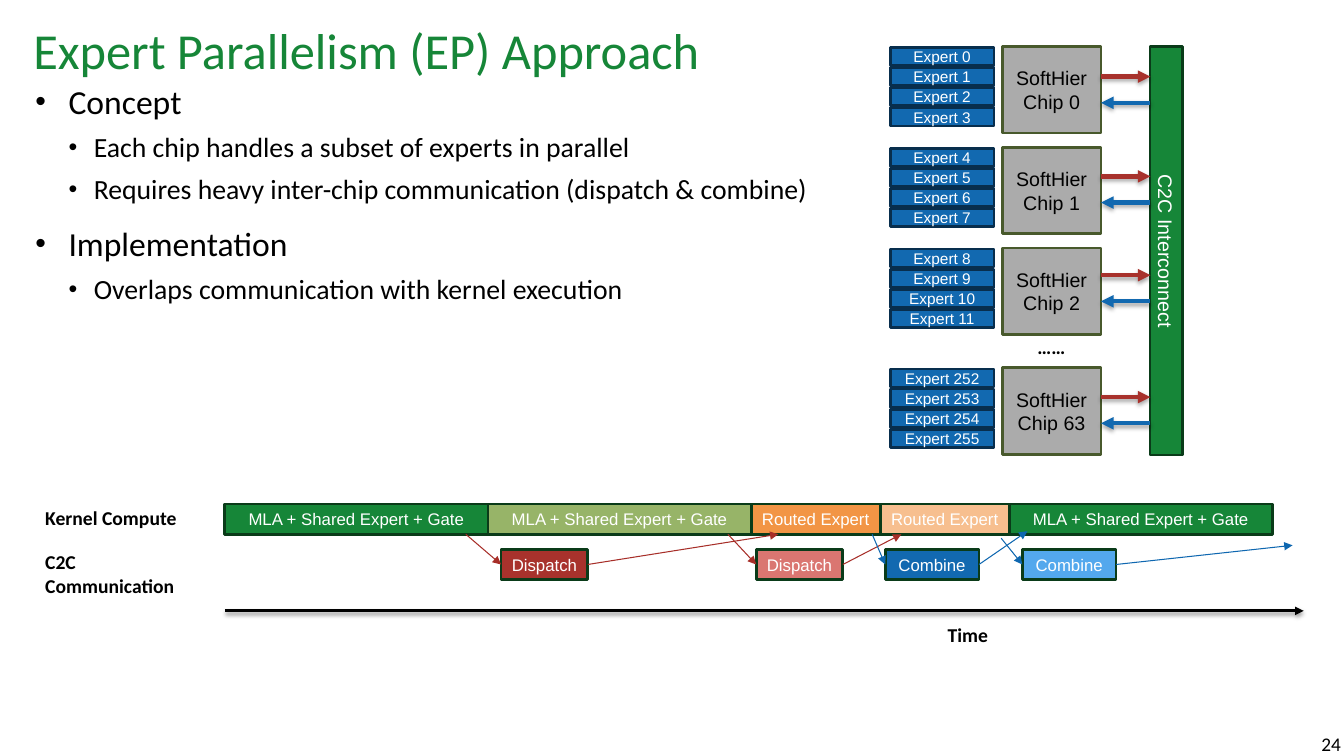
"""Build the slide on expert parallelism with its chip diagram and timeline."""
from lxml import etree
from pptx import Presentation
from pptx.dml.color import RGBColor
from pptx.enum import shapes, text
from pptx.oxml import ns
from pptx.util import Inches, Pt

TITLE = "Expert Parallelism (EP) Approach"
BULLETS = [
    (0, "Concept"),
    (1, "Each chip handles a subset of experts in parallel"),
    (1, "Requires heavy inter-chip communication (dispatch & combine)"),
    (0, "Implementation"),
    (1, "Overlaps communication with kernel execution"),
]
LEVELS = [
    {"size": 24, "before": 12.7, "margin": 0.33, "hang": 0.33},
    {"size": 19.8, "before": 6.3, "margin": 0.58, "hang": 0.25},
]
CHIPS = [(0, 0.46, 0.76), (1, 1.46, 1.75), (2, 2.46, 2.73), (63, 3.65, 3.94)]
EXPERTS_PER_CHIP = 4
KERNELS = [
    ("MLA + Shared Expert + Gate", 2.61, "168638"),
    ("MLA + Shared Expert + Gate", 2.61, "97B468"),
    ("Routed Expert", 1.28, "F29545"),
    ("Routed Expert", 1.28, "F7BF8F"),
    ("MLA + Shared Expert + Gate", 2.61, "168638"),
]
RED, BLUE = "A72E28", "0E67B0"
MESSAGES = [
    ("Dispatch", 4.97, 0.86, "A8322C", RED, (4.62, 5.3), (7.72, 5.3)),
    ("Dispatch", 7.5, 0.86, "DA7671", RED, (7.22, 5.3), (8.94, 5.3)),
    ("Combine", 8.78, 0.93, "1269B0", BLUE, (8.65, 5.3), (10.19, 5.27)),
    ("Combine", 10.14, 0.93, "53A8ED", BLUE, (9.93, 5.34), (12.82, 5.41)),
]
LABELS = [
    ("……", 10.19, 3.27, 0.88),
    ("Time", 9.3, 6.13, 0.64),
    ("C2C Communication", 0.35, 5.41, 1.8),
    ("Kernel Compute", 0.35, 4.97, 1.8),
]
TIMELINE_LEFT, KERNEL_TOP, MESSAGE_TOP, BAR_HEIGHT = 2.23, 5, 5.45, 0.3
CHIP_LEFT, CHIP_WIDTH, CHIP_HEIGHT = 9.94, 0.98, 0.86
LINK_LEFT, LINK_RIGHT, LINK_GAP = 10.92, 11.41, 0.26
ARIAL_WHITE = {"name": "Arial", "color": "FFFFFF"}
CALIBRI = {"name": "Calibri", "color": "000000"}
MIDDLE = text.MSO_ANCHOR.MIDDLE
CENTER, LEFT, RIGHT = text.PP_ALIGN.CENTER, text.PP_ALIGN.LEFT, text.PP_ALIGN.RIGHT


def color(value):
    return RGBColor.from_string(value)


def write(para, words, style):
    span = para.add_run()
    span.text = words
    for key, value in style.items():
        if key == "color":
            span.font.color.rgb = color(value)
        else:
            setattr(span.font, key, Pt(value) if key == "size" else value)


def set_frame(frame, **settings):
    for key, value in settings.items():
        setattr(frame, key, value)


def place(shape, left, top, width, height):
    for key, value in zip(("left", "top", "width", "height"), (left, top, width, height)):
        setattr(shape, key, Inches(value))


def add_block(page, lines, area, fill, line, style):
    box = page.shapes.add_shape(shapes.MSO_SHAPE.RECTANGLE, *map(Inches, area))
    box.shadow.inherit = False
    box.fill.solid()
    box.fill.fore_color.rgb = color(fill)
    box.line.color.rgb = color(line)
    box.line.width = Pt(2)
    set_frame(box.text_frame, vertical_anchor=MIDDLE, word_wrap=True)
    for index, words in enumerate(lines):
        para = box.text_frame.add_paragraph() if index else box.text_frame.paragraphs[0]
        para.alignment = CENTER
        write(para, words, style)
    return box


def add_label(page, words, area, style, align=LEFT, **settings):
    box = page.shapes.add_textbox(*map(Inches, area))
    set_frame(box.text_frame, word_wrap=True, **settings)
    para = box.text_frame.paragraphs[0]
    para.alignment = align
    write(para, words, style)


def add_arrow(page, start, end, stroke, width, shadow_alpha=None):
    arrow = page.shapes.add_connector(
        shapes.MSO_CONNECTOR.STRAIGHT, *map(Inches, (*start, *end)))
    arrow.line.color.rgb = color(stroke)
    arrow.line.width = Pt(width)
    etree.SubElement(arrow.line._get_or_add_ln(), ns.qn("a:tailEnd"), type="triangle")
    effects = etree.SubElement(arrow._element.spPr, ns.qn("a:effectLst"))
    if shadow_alpha:
        shadow = etree.SubElement(
            effects, ns.qn("a:outerShdw"), blurRad=str(Pt(3.1)), dist=str(Pt(1.8)),
            dir="5400000", rotWithShape="0")
        shade = etree.SubElement(shadow, ns.qn("a:srgbClr"), val="000000")
        etree.SubElement(shade, ns.qn("a:alpha"), val=str(shadow_alpha * 1000))
    return arrow


def add_texts(page):
    title, body = page.shapes.title, page.placeholders[1]
    place(title, 0.33, 0.19, 12.73, 0.68)
    set_frame(title.text_frame, vertical_anchor=MIDDLE, auto_size=text.MSO_AUTO_SIZE.NONE,
              margin_left=0, margin_right=0, margin_top=0, margin_bottom=0)
    heading = title.text_frame.paragraphs[0]
    heading.alignment, heading.line_spacing = LEFT, 0.9
    write(heading, TITLE, {"name": "Calibri", "size": 36, "color": "168638"})

    place(body, 0.35, 0.75, 9.67, 2.45)
    set_frame(body.text_frame, auto_size=text.MSO_AUTO_SIZE.NONE, margin_left=0,
              margin_right=0, vertical_anchor=text.MSO_ANCHOR.TOP)
    for index, (level, words) in enumerate(BULLETS):
        para = body.text_frame.add_paragraph() if index else body.text_frame.paragraphs[0]
        layout = LEVELS[level]
        props = para._p.get_or_add_pPr()
        props.set("marL", str(Inches(layout["margin"])))
        props.set("indent", str(-Inches(layout["hang"])))
        etree.SubElement(props, ns.qn("a:buSzPct"), val="90000")
        etree.SubElement(props, ns.qn("a:buFont"), typeface="Arial")
        etree.SubElement(props, ns.qn("a:buChar"), char="•")
        para.level = level
        para.space_before = Pt(layout["before"] if index else 0)
        write(para, words, {**CALIBRI, "size": layout["size"]})

    add_label(page, "24", (12.47, 7.2, 0.86, 0.34), {**CALIBRI, "size": 13.8}, RIGHT,
              margin_right=Inches(0.03), vertical_anchor=text.MSO_ANCHOR.BOTTOM)
    for words, left, top, width in LABELS:
        add_label(page, words, (left, top, width, 0.34), {**CALIBRI, "size": 14, "bold": True})


def add_chips(page):
    interconnect = add_block(page, ["C2C Interconnect"], (9.54, 2.33, 4.05, 0.32),
                             "168638", "0A3B19", {**ARIAL_WHITE, "size": 14})
    interconnect.rotation = 90
    for number, top, link in CHIPS:
        add_block(page, ["SoftHier", f"Chip {number}"],
                  (CHIP_LEFT, top, CHIP_WIDTH, CHIP_HEIGHT), "ABABAB", "48592C",
                  {"name": "Arial", "size": 14, "color": "000000"})
        add_arrow(page, (LINK_LEFT, link), (LINK_RIGHT, link), "A8322C", 3, 35)
        back = link + LINK_GAP
        add_arrow(page, (LINK_RIGHT, back), (LINK_LEFT, back), "1269B0", 3, 35)
        for slot in range(EXPERTS_PER_CHIP):
            add_block(page, [f"Expert {number * EXPERTS_PER_CHIP + slot}"],
                      (8.83, top + 0.01 + slot * 0.2, 1.03, 0.18), "1269B0", "082E4D",
                      {**ARIAL_WHITE, "size": 11})


def add_timeline(page):
    style = {**ARIAL_WHITE, "size": 12}
    add_arrow(page, (TIMELINE_LEFT, 6.06), (12.93, 6.06), "000000", 2, 38)
    left = TIMELINE_LEFT
    for words, width, fill in KERNELS:
        add_block(page, [words], (left, KERNEL_TOP, width, BAR_HEIGHT), fill, "0A3B19", style)
        left += width
    middle = MESSAGE_TOP + BAR_HEIGHT / 2
    for words, left, width, fill, stroke, source, target in MESSAGES:
        box = add_block(page, [words], (left, MESSAGE_TOP, width, BAR_HEIGHT),
                        fill, "0A3B19", style)
        add_arrow(page, source, (left, middle), stroke, 0.75).end_connect(box, 1)
        add_arrow(page, (left + width, middle), target, stroke, 0.75).begin_connect(box, 3)


def main():
    deck = Presentation()
    deck.slide_width, deck.slide_height = Inches(13.33), Inches(7.5)
    page = deck.slides.add_slide(deck.slide_layouts[1])
    add_texts(page)
    add_chips(page)
    add_timeline(page)
    deck.save("out.pptx")


if __name__ == "__main__":
    main()
